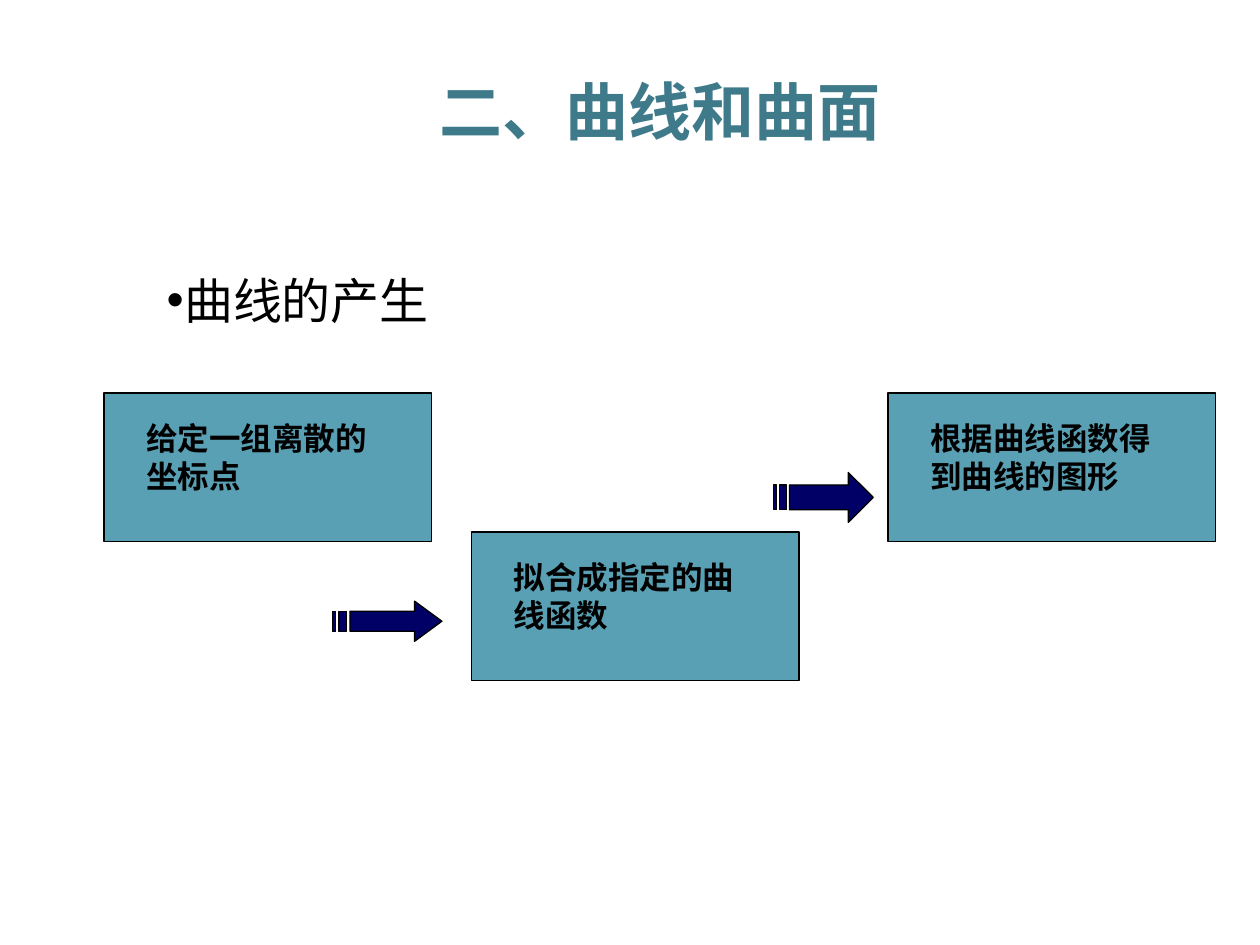
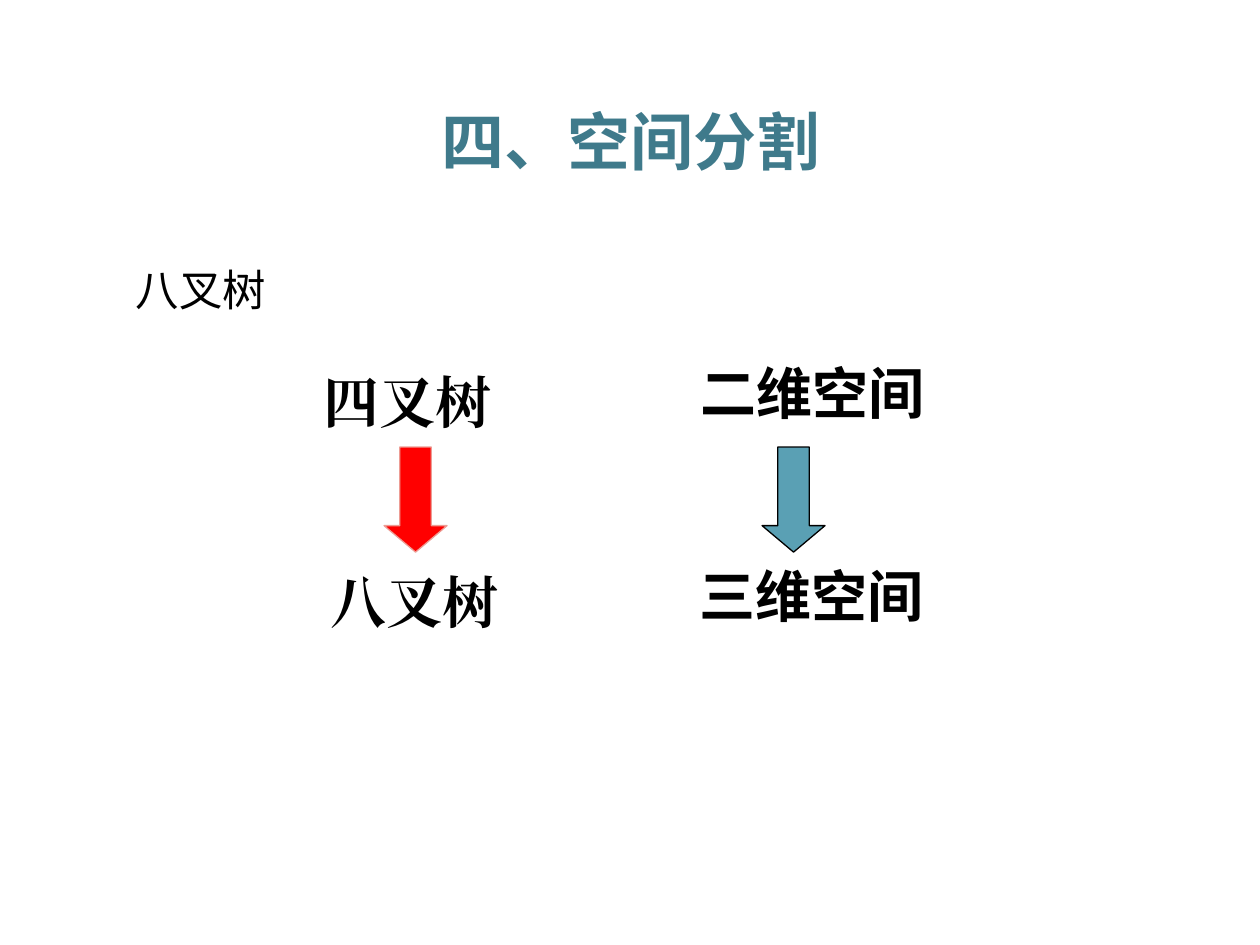
from lxml.etree import SubElement
from pptx import Presentation
from pptx.dml.color import RGBColor
from pptx.enum.shapes import MSO_SHAPE
from pptx.enum.text import MSO_ANCHOR, MSO_AUTO_SIZE, PP_ALIGN
from pptx.oxml.ns import qn
from pptx.util import Pt

BLACK = RGBColor(0x00, 0x00, 0x00)
TITLE_TEAL = RGBColor(0x3F, 0x7A, 0x8B)
TEAL = RGBColor(0x5A, 0xA0, 0xB4)
NAVY = RGBColor(0x00, 0x00, 0x66)
RED = RGBColor(0xFF, 0x00, 0x00)
PINK = RGBColor(0xED, 0x9C, 0x94)

TITLE_FONT = "Noto Sans CJK SC"
BODY_FONT = "Arial"
SERIF_FONT = "Times New Roman"
SANS_FONT = "Roboto"

STRIPED_ARROW_OUTLINES = (
    ((0.75, 0), (0.75, 0.25), (0.16, 0.25), (0.16, 0.75), (0.75, 0.75), (0.75, 1), (1, 0.5)),
    ((0.06, 0.25), (0.06, 0.75), (0.13, 0.75), (0.13, 0.25)),
    ((0, 0.25), (0, 0.75), (0.03, 0.75), (0.03, 0.25)),
)


def place(shape, left, top, width, height):
    """Move and size a shape, in points."""
    shape.left, shape.top = Pt(left), Pt(top)
    shape.width, shape.height = Pt(width), Pt(height)


def write_text(shape, text, size, font_name, color=BLACK, bold=False,
               alignment=PP_ALIGN.LEFT, line_spacing=1.0):
    """Write one formatted paragraph into a shape."""
    text_frame = shape.text_frame
    text_frame.auto_size = MSO_AUTO_SIZE.NONE
    text_frame.text = text
    paragraph = text_frame.paragraphs[0]
    paragraph.alignment = alignment
    paragraph.line_spacing = line_spacing
    paragraph.space_before = Pt(0)
    font = paragraph.font
    font.name, font.size, font.bold = font_name, Pt(size), bold
    font.color.rgb = color
    defaults = paragraph._p.pPr.find(qn("a:defRPr"))
    SubElement(defaults, qn("a:ea")).set("typeface", font_name)


def set_bullet(shape, character=None, indent=0):
    """Give the first paragraph a hanging bullet, or none."""
    properties = shape.text_frame.paragraphs[0]._p.get_or_add_pPr()
    properties.set("marL", str(Pt(indent)))
    properties.set("indent", str(-Pt(indent)))
    bullet = properties.makeelement(qn("a:buChar" if character else "a:buNone"))
    if character:
        bullet.set("char", character)
    properties.find(qn("a:defRPr")).addprevious(bullet)


def add_titled_slide(presentation, title, left, top):
    """Add a slide with the shared title style."""
    slide = presentation.slides.add_slide(presentation.slide_layouts[1])
    place(slide.shapes.title, left, top, 479, 51)
    slide.shapes.title.text_frame.vertical_anchor = MSO_ANCHOR.MIDDLE
    write_text(slide.shapes.title, title, 36, TITLE_FONT, TITLE_TEAL, True, PP_ALIGN.CENTER)
    return slide


def paint(shape, fill_color, line_color=BLACK):
    """Apply a flat fill and a thin outline."""
    shape.shadow.inherit = False
    shape.fill.solid()
    shape.fill.fore_color.rgb = fill_color
    shape.line.color.rgb = line_color
    shape.line.width = Pt(0.75)


def add_step(slide, text, left, top):
    """Add a process step box with its text."""
    step = slide.shapes.add_shape(MSO_SHAPE.RECTANGLE, Pt(left), Pt(top), Pt(187.2), Pt(85))
    paint(step, TEAL)
    text_frame = step.text_frame
    text_frame.word_wrap = True
    text_frame.vertical_anchor = MSO_ANCHOR.TOP
    text_frame.margin_left, text_frame.margin_right = Pt(24), Pt(30)
    text_frame.margin_top = Pt(15)
    write_text(step, text, 18, BODY_FONT, bold=True)


def add_striped_arrow(slide, left, top, width, height):
    """Add a right arrow with two stripes at its tail."""
    builder = None
    for outline in STRIPED_ARROW_OUTLINES:
        points = [(Pt(left + x * width), Pt(top + y * height)) for x, y in outline]
        if builder is None:
            builder = slide.shapes.build_freeform(*points[0])
        else:
            builder.move_to(*points[0])
        builder.add_line_segments(points[1:], close=True)
    paint(builder.convert_to_shape(), NAVY)


def add_down_arrow(slide, left, fill_color, line_color):
    """Add a down arrow between two terms."""
    arrow = slide.shapes.add_shape(MSO_SHAPE.DOWN_ARROW, Pt(left), Pt(255.5), Pt(36), Pt(60))
    arrow.adjustments[0], arrow.adjustments[1] = 0.5, 0.42
    paint(arrow, fill_color, line_color)


def add_term(slide, text, left, top, font_name, line_spacing=1.0):
    """Add a large bold term."""
    term = slide.shapes.add_textbox(Pt(left), Pt(top), Pt(143), Pt(45))
    term.text_frame.word_wrap = False
    write_text(term, text, 32, font_name, bold=True, line_spacing=line_spacing)


def build_curve_slide(presentation):
    """Build the slide on how a curve is produced."""
    slide = add_titled_slide(presentation, "二、曲线和曲面", 137.5, 37.5)
    body = slide.placeholders[1]
    place(body, 88, 144, 614, 106.5)
    write_text(body, "曲线的产生", 28, BODY_FONT, line_spacing=1.2)
    set_bullet(body, "•", 10)
    add_step(slide, "给定一组离散的坐标点", 59.5, 224.5)
    add_step(slide, "拟合成指定的曲线函数", 269.5, 304)
    add_step(slide, "根据曲线函数得到曲线的图形", 507.5, 224.5)
    add_striped_arrow(slide, 190, 343.5, 62.5, 23)
    add_striped_arrow(slide, 442, 270, 57, 28.5)


def build_octree_slide(presentation):
    """Build the slide on the step from quadtree to octree."""
    slide = add_titled_slide(presentation, "四、空间分割", 121, 54.5)
    body = slide.placeholders[1]
    place(body, 70.5, 132.5, 578, 60)
    body.text_frame.vertical_anchor = MSO_ANCHOR.MIDDLE
    write_text(body, "八叉树", 24.8, BODY_FONT, line_spacing=1.2)
    set_bullet(body)
    add_term(slide, "四叉树", 178, 195, SERIF_FONT, 1.3)
    add_term(slide, "八叉树", 181.5, 309.5, SERIF_FONT, 1.3)
    add_term(slide, "二维空间", 393, 201.5, SANS_FONT)
    add_term(slide, "三维空间", 392.5, 317.5, SANS_FONT)
    add_down_arrow(slide, 219.5, RED, PINK)
    add_down_arrow(slide, 435.5, TEAL, BLACK)


def main():
    """Build and save the presentation."""
    presentation = Presentation()
    presentation.slide_width, presentation.slide_height = Pt(720), Pt(540)
    build_curve_slide(presentation)
    build_octree_slide(presentation)
    presentation.save("out.pptx")


if __name__ == "__main__":
    main()
